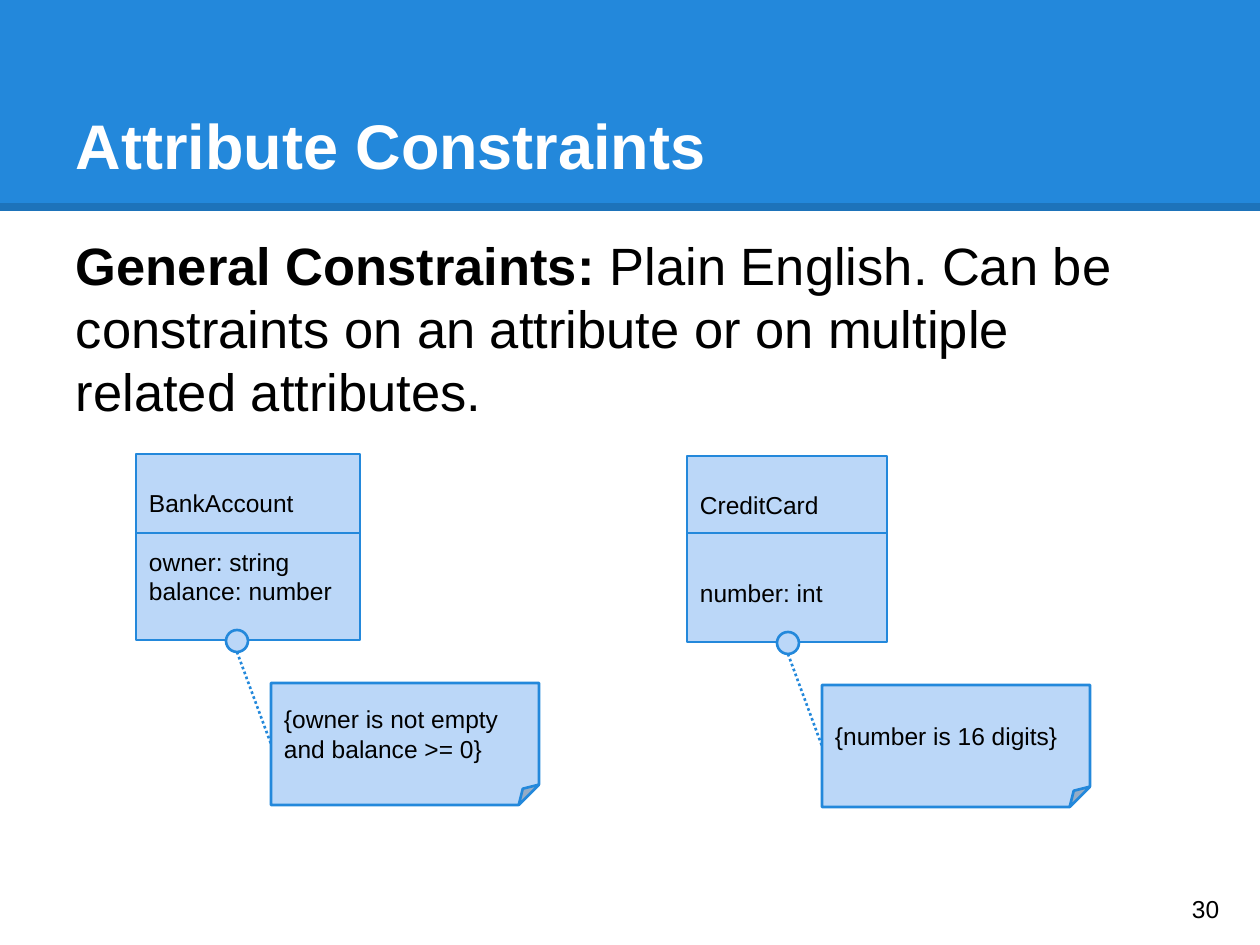
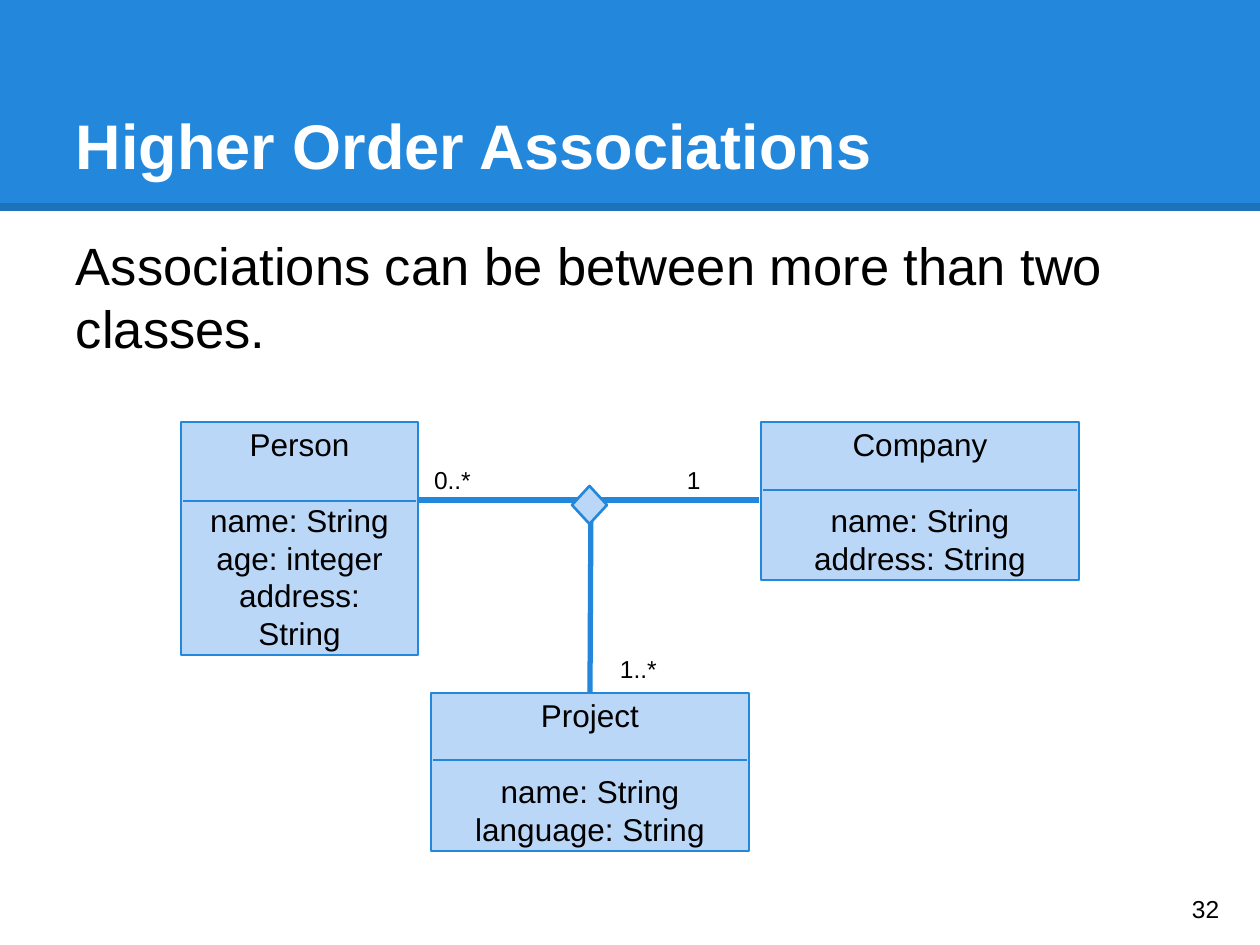
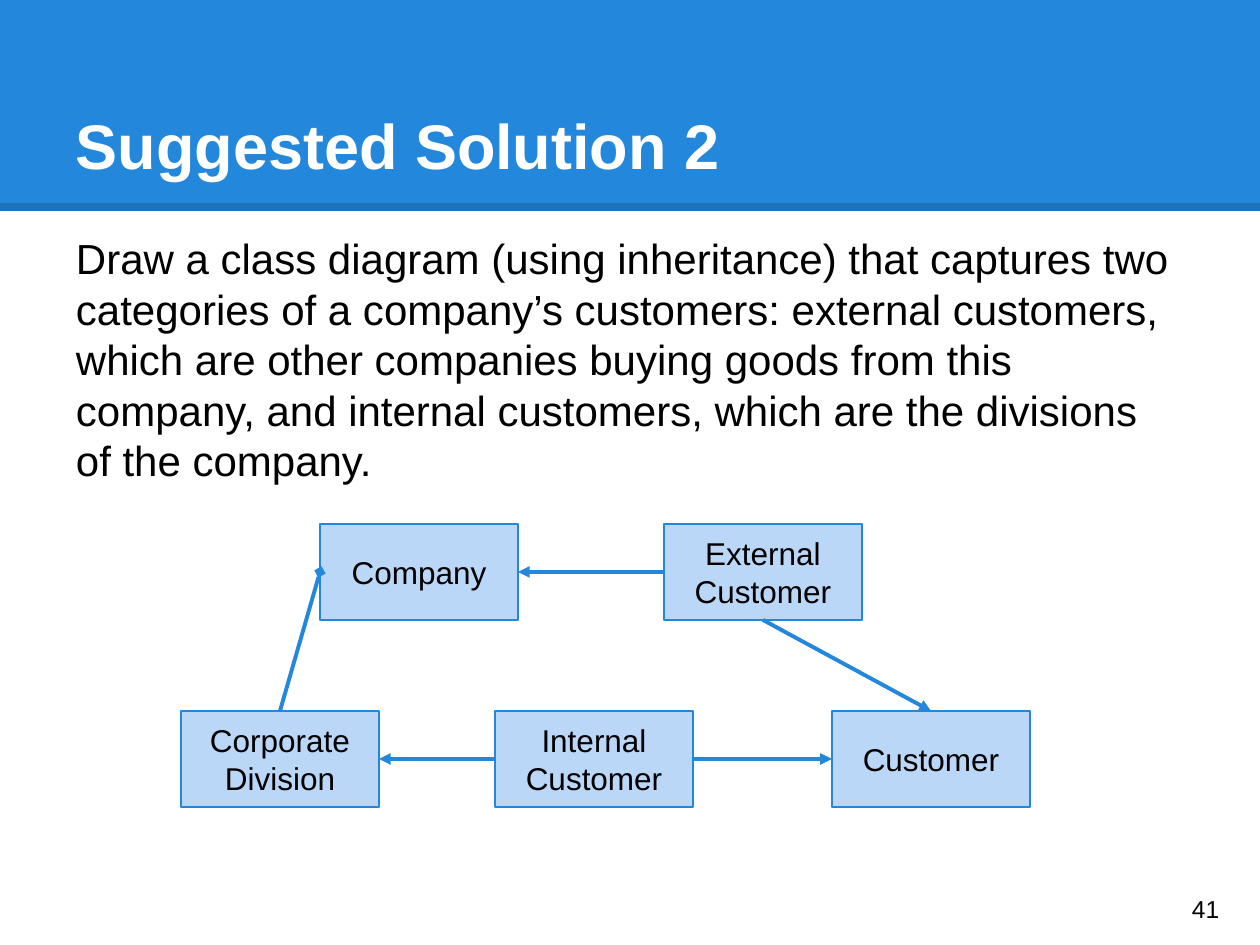
from lxml import etree
from pptx import Presentation
from pptx.dml.color import RGBColor
from pptx.enum.dml import MSO_LINE
from pptx.enum.shapes import MSO_CONNECTOR, MSO_SHAPE as Shape
from pptx.enum.text import MSO_ANCHOR as Anchor, PP_ALIGN as Align
from pptx.oxml.ns import qn
from pptx.util import Emu, Pt

BLUE = RGBColor(0x23, 0x88, 0xDB)
PALE_BLUE = RGBColor(0xBB, 0xD7, 0xF8)
WHITE = RGBColor(0xFF, 0xFF, 0xFF)
BLACK = RGBColor(0, 0, 0)

FONT = "Arial"
PX_PER_INCH = 126
SLIDE_WIDTH, SLIDE_HEIGHT = 1260, 945
INSET = 13
LINE_HEIGHT = 1.2
TOP, LEFT, BOTTOM, RIGHT = range(4)  # connection sites of a rectangle


def px(length):
    return Emu(round(length * 914400 / PX_PER_INCH))


def setup_frame(frame, anchor):
    frame.word_wrap = True
    frame.vertical_anchor = anchor
    frame.margin_left = frame.margin_right = px(INSET)
    frame.margin_top = frame.margin_bottom = px(INSET)


def add_run(paragraph, text, size, color=BLACK, bold=False):
    run = paragraph.add_run()
    run.text = text
    run.font.name = FONT
    run.font.size = Pt(size)
    run.font.bold = bold
    run.font.color.rgb = color


def add_text(slide, box, text, size, anchor=Anchor.TOP, color=BLACK, bold=False, lead=""):
    """Add a one-paragraph text box, with an optional bold lead-in."""
    frame = slide.shapes.add_textbox(*map(px, box)).text_frame
    setup_frame(frame, anchor)
    paragraph = frame.paragraphs[0]
    if lead:
        add_run(paragraph, lead, size, color, True)
    add_run(paragraph, text, size, color, bold)


def add_shape(slide, kind, box, fill=PALE_BLUE, outlined=True):
    shape = slide.shapes.add_shape(kind, *map(px, box))
    shape.shadow.inherit = False
    shape.fill.solid()
    shape.fill.fore_color.rgb = fill
    if outlined:
        shape.line.color.rgb = BLUE
        shape.line.width = Pt(1.5)
    else:
        shape.line.fill.background()
    return shape


def write_lines(shape, lines, size, align=Align.LEFT, gap_lines=0):
    """Write one paragraph per line, with a gap after the first."""
    frame = shape.text_frame
    setup_frame(frame, Anchor.MIDDLE)
    for index, line in enumerate(lines):
        paragraph = frame.paragraphs[0] if index == 0 else frame.add_paragraph()
        paragraph.alignment = align
        if index == 1:
            paragraph.space_before = Pt(round(gap_lines * size * LINE_HEIGHT, 1))
        add_run(paragraph, line, size)


def add_line(slide, start, end, width, color=BLUE):
    line = slide.shapes.add_connector(MSO_CONNECTOR.STRAIGHT, *map(px, start + end))
    line.line.color.rgb = color
    line.line.width = Pt(width)
    etree.SubElement(line._element.spPr, qn("a:effectLst"))
    return line


def add_arrow(slide, source, source_site, target, target_site, head="triangle"):
    arrow = add_line(slide, (0, 0), (0, 0), 2.25)
    arrow.begin_connect(source, source_site)
    arrow.end_connect(target, target_site)
    etree.SubElement(arrow.line._get_or_add_ln(), qn("a:tailEnd"), type=head)


def add_base_slide(presentation, title, number):
    slide = presentation.slides.add_slide(presentation.slide_layouts[6])
    add_shape(slide, Shape.RECTANGLE, (0, 0, SLIDE_WIDTH, 211), BLUE, outlined=False)
    edge = add_line(slide, (0, 207), (SLIDE_WIDTH, 207), 4.5, BLACK)
    color = edge.line._get_or_add_ln().find(".//" + qn("a:srgbClr"))
    etree.SubElement(color, qn("a:alpha"), val="15000")
    add_text(slide, (63, 38, 1134, 157), title, 36, Anchor.BOTTOM, WHITE, bold=True)
    add_text(slide, (1179, 873, 76, 72), str(number), 14, Anchor.MIDDLE)
    return slide


def add_class(slide, box, divider_y, lines, size, align, gap_lines=1, divider_inset=0):
    left, _, width, _ = box
    shape = add_shape(slide, Shape.RECTANGLE, box)
    write_lines(shape, lines, size, align, gap_lines)
    add_line(slide, (left + divider_inset, divider_y),
             (left + width - divider_inset, divider_y), 1.5)


def add_constrained_class(slide, left, top, width, lines, gap_lines, constraint):
    """Add a class box with a folded note tied to it by a dotted line."""
    add_class(slide, (left, top, width, 186), 533, lines, 14, Align.LEFT, gap_lines)
    note_left, note_top, note_height = left + 135, top + 229, 122
    note = add_shape(slide, Shape.FOLDED_CORNER, (note_left, note_top, 268, note_height))
    write_lines(note, [constraint], 14)
    ring_left, ring_top, ring_size = left + 90, top + 176, 22
    add_shape(slide, Shape.OVAL, (ring_left, ring_top, ring_size, ring_size))
    tie = add_line(slide, (ring_left + ring_size // 2, ring_top + ring_size),
                   (note_left, note_top + note_height // 2), 1.5)
    tie.line.dash_style = MSO_LINE.ROUND_DOT


def build_attribute_constraints(presentation):
    slide = add_base_slide(presentation, "Attribute Constraints", 30)
    add_text(slide, (63, 220, 1134, 145),
             "Plain English. Can be constraints on an attribute or on "
             "multiple related attributes.", 30, lead="General Constraints: ")
    add_constrained_class(slide, 136, 454, 224,
                          ["BankAccount", "owner: string", "balance: number"], 1,
                          "{owner is not empty and balance >= 0}")
    add_constrained_class(slide, 687, 456, 200, ["CreditCard", "number: int"], 2,
                          "{number is 16 digits}")


def build_higher_order_associations(presentation):
    slide = add_base_slide(presentation, "Higher Order Associations", 32)
    add_text(slide, (63, 220, 1186, 122),
             "Associations can be between more than two classes.", 30)
    classes = [
        ((181, 422, 237, 233), 501,
         ["Person", "name: String", "age: integer", "address: String"]),
        ((761, 422, 318, 158), 490, ["Company", "name: String", "address: String"]),
        ((431, 693, 318, 158), 760, ["Project", "name: String", "language: String"]),
    ]
    for box, divider_y, lines in classes:
        add_class(slide, box, divider_y, lines, 18, Align.CENTER, divider_inset=2)
    add_line(slide, (759, 500), (419, 500), 3)
    add_line(slide, (590, 693), (591, 500), 3)
    add_shape(slide, Shape.DIAMOND, (572, 486, 35, 38))
    for left, top, multiplicity in [(421, 452, "0..*"), (674, 452, "1"), (607, 641, "1..*")]:
        add_text(slide, (left, top, 72, 37), multiplicity, 14)


def build_suggested_solution(presentation):
    slide = add_base_slide(presentation, "Suggested Solution 2", 41)
    add_text(slide, (63, 220, 1120, 304),
             "Draw a class diagram (using inheritance) that captures two categories of a "
             "company’s customers: external customers, which are other companies buying "
             "goods from this company, and internal customers, which are the divisions of "
             "the company.", 24)
    upper, lower = 524, 711
    places = {
        "Company": (320, upper),
        "External Customer": (664, upper),
        "Corporate Division": (181, lower),
        "Internal Customer": (495, lower),
        "Customer": (832, lower),
    }
    boxes = {}
    for name, (left, top) in places.items():
        boxes[name] = add_shape(slide, Shape.RECTANGLE, (left, top, 198, 96))
        write_lines(boxes[name], [name], 18, Align.CENTER)
    company, external, division, internal, customer = boxes.values()
    add_arrow(slide, division, TOP, company, LEFT, "diamond")
    add_arrow(slide, internal, LEFT, division, RIGHT)
    add_arrow(slide, internal, RIGHT, customer, LEFT)
    add_arrow(slide, external, LEFT, company, RIGHT)
    add_arrow(slide, external, BOTTOM, customer, TOP)


def main():
    presentation = Presentation()
    presentation.slide_width = px(SLIDE_WIDTH)
    presentation.slide_height = px(SLIDE_HEIGHT)
    build_attribute_constraints(presentation)
    build_higher_order_associations(presentation)
    build_suggested_solution(presentation)
    presentation.save("out.pptx")


if __name__ == "__main__":
    main()
